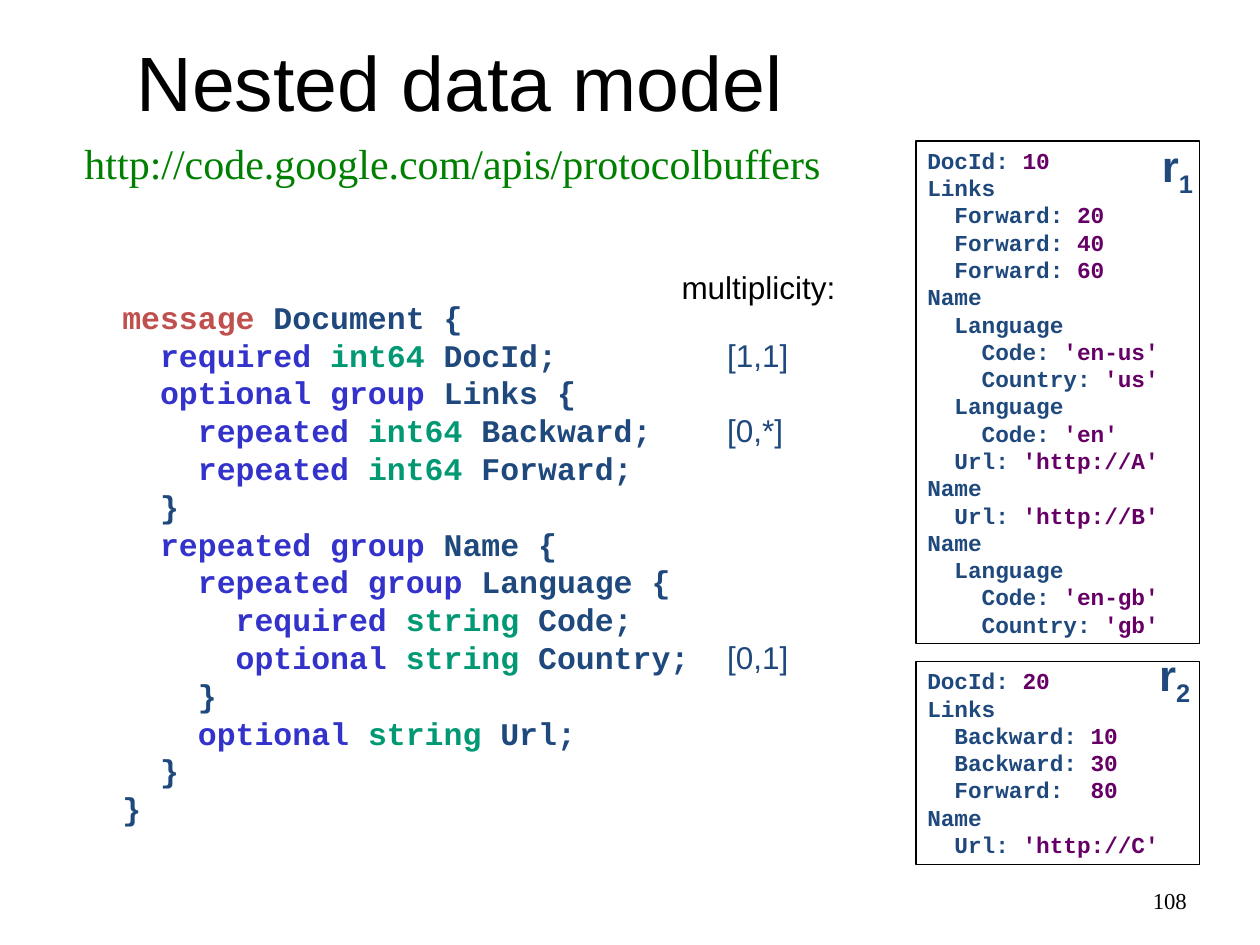
from dataclasses import dataclass
from lxml.etree import SubElement
from pptx import Presentation
from pptx.dml.color import RGBColor
from pptx.enum.shapes import MSO_SHAPE
from pptx.enum.text import MSO_ANCHOR, MSO_AUTO_SIZE, PP_ALIGN
from pptx.oxml.ns import qn
from pptx.util import Pt


@dataclass(frozen=True)
class Theme:
    black: str = "000000"
    navy: str = "1F497D"
    red: str = "C0504D"
    blue: str = "3333CC"
    teal: str = "009973"
    plum: str = "660066"
    green: str = "008000"
    sans: str = "Arial"
    serif: str = "Times New Roman"
    mono: str = "Courier New"
    title: float = 44
    label: float = 25
    link: float = 24
    body: float = 18
    small: float = 13
    lead: float = 1.2


THEME = Theme()
WORDS = {"message": THEME.red}
WORDS |= dict.fromkeys(("required", "optional", "repeated", "group"), THEME.blue)
WORDS |= dict.fromkeys(("int64", "string"), THEME.teal)

SCHEMA = """message Document {
  required int64 DocId;\t[1,1]
  optional group Links {
    repeated int64 Backward;\t[0,*]
    repeated int64 Forward;
  }
  repeated group Name {
    repeated group Language {
      required string Code;
      optional string Country;\t[0,1]
    }
    optional string Url;
  }
}"""

FIRST = """DocId: 10
Links
  Forward: 20
  Forward: 40
  Forward: 60
Name
  Language
    Code: 'en-us'
    Country: 'us'
  Language
    Code: 'en'
  Url: 'http://A'
Name
  Url: 'http://B'
Name
  Language
    Code: 'en-gb'
    Country: 'gb'"""

SECOND = """DocId: 20
Links
  Backward: 10
  Backward: 30
  Forward:  80
Name
  Url: 'http://C'"""


def write(para, text, font=THEME.sans, size=THEME.body, color=THEME.black,
          bold=False, base=None):
    run = para.add_run()
    run.text = text
    style = run.font
    style.name, style.size, style.bold = font, Pt(size), bold
    style.color.rgb = RGBColor.from_string(color)
    if base:
        run._r.get_or_add_rPr().set("baseline", str(base * 1000))


class Deck:
    def __init__(self, theme):
        self.theme = theme
        self.file = Presentation()
        self.file.slide_width, self.file.slide_height = Pt(720), Pt(540)
        self.slide = self.file.slides.add_slide(self.file.slide_layouts[6])

    def frame(self, shape, wrap=True, anchor=MSO_ANCHOR.TOP):
        frame = shape.text_frame
        frame.word_wrap, frame.vertical_anchor = wrap, anchor
        frame.auto_size = MSO_AUTO_SIZE.NONE
        frame.margin_left = frame.margin_right = Pt(6.5)
        frame.margin_top = frame.margin_bottom = Pt(3.2)
        return frame

    def box(self, *area, **format):
        shape = self.slide.shapes.add_textbox(*map(Pt, area))
        return self.frame(shape, **format)

    def text(self, text, *area, wrap=True, anchor=MSO_ANCHOR.TOP,
             align=PP_ALIGN.LEFT, **format):
        para = self.box(*area, wrap=wrap, anchor=anchor).paragraphs[0]
        para.alignment = align
        write(para, text, **format)

    def lines(self, frame, code, size):
        for row, line in enumerate(code.split("\n")):
            para = frame.paragraphs[0] if row == 0 else frame.add_paragraph()
            para.alignment = PP_ALIGN.LEFT
            para.line_spacing = Pt(size * self.theme.lead)
            yield para, line

    def code(self, code, *area, stop):
        look = self.theme
        for para, line in self.lines(self.box(*area), code, look.body):
            line, tab, count = line.partition("\t")
            if tab:
                tabs = SubElement(para._p.get_or_add_pPr(), qn("a:tabLst"))
                SubElement(tabs, qn("a:tab"), pos=str(Pt(stop)), algn="l")
            pad = len(line) - len(line.lstrip())
            words = line.split()
            for spot, word in enumerate(words):
                lead = " " * pad if spot == 0 else " "
                write(para, lead + word, font=look.mono, bold=True,
                      color=WORDS.get(word, look.navy))
            if tab:
                write(para, tab + count, color=look.navy)

    def record(self, code, *area):
        look = self.theme
        shape = self.slide.shapes.add_shape(MSO_SHAPE.RECTANGLE, *map(Pt, area))
        shape.shadow.inherit = False
        shape.fill.background()
        shape.line.color.rgb = RGBColor.from_string(look.black)
        shape.line.width = Pt(0.75)
        for para, line in self.lines(self.frame(shape), code, look.small):
            key, mark, value = line.partition(":")
            form = dict(font=look.mono, size=look.small, bold=True)
            gap = len(value) - len(value.lstrip())
            write(para, key + mark + value[:gap], color=look.navy, **form)
            if value:
                write(para, value[gap:], color=look.plum, **form)

    def label(self, name, index, *area):
        look = self.theme
        para = self.box(*area).paragraphs[0]
        form = dict(size=look.label, color=look.navy, bold=True)
        write(para, name, **form)
        write(para, index, base=-25, **form)


def main():
    deck = Deck(THEME)
    deck.text("Nested data model", 36, 10.8, 453.6, 70.6, size=THEME.title,
              align=PP_ALIGN.CENTER, anchor=MSO_ANCHOR.MIDDLE)
    deck.text("108", 516.2, 500.4, 168.5, 28.8, font=THEME.serif,
              size=THEME.small, align=PP_ALIGN.RIGHT, anchor=MSO_ANCHOR.MIDDLE)
    deck.code(SCHEMA, 63.4, 167, 432, 308.9, stop=345.6)
    deck.record(FIRST, 523.4, 80.6, 162, 287.3)
    deck.label("r", "1", 657.4, 76.3, 43.2, 40.3)
    deck.record(SECOND, 523.4, 378, 162, 115.9)
    deck.label("r", "2", 655.9, 367.2, 43.2, 40.3)
    deck.text("http://code.google.com/apis/protocolbuffers", 41.8, 75.6, 434.2,
              35.3, wrap=False, font=THEME.serif, size=THEME.link,
              color=THEME.green)
    deck.text("multiplicity:", 383, 149.8, 100.8, 28.1, wrap=False)
    deck.file.save("out.pptx")


if __name__ == "__main__":
    main()
